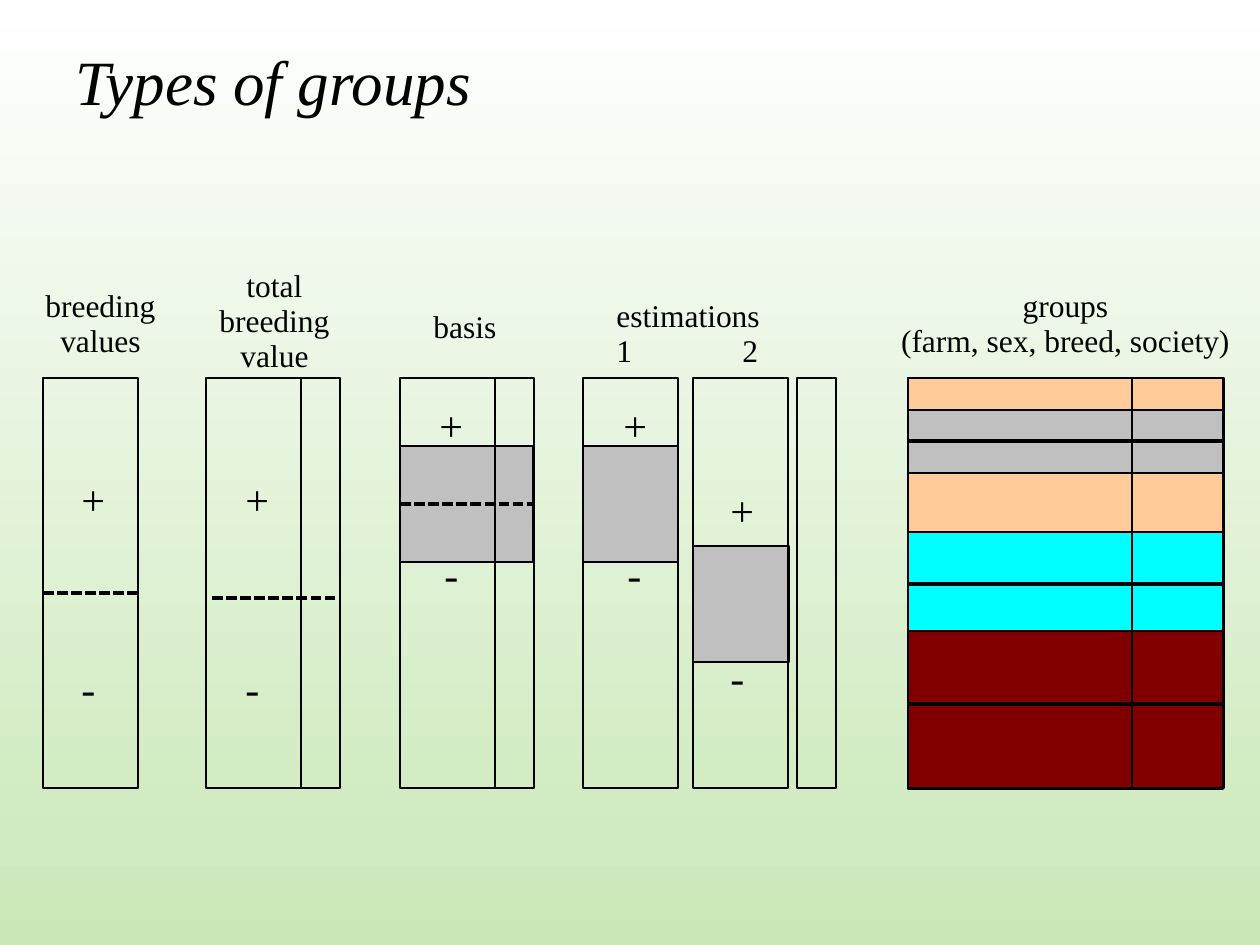
import lxml.etree
import pptx
import pptx.dml.color
import pptx.enum.dml
import pptx.enum.shapes
import pptx.enum.text
import pptx.oxml.ns
import pptx.util

PX = 914400 / 126
COLORS = {"black": "000000", "white": "FFFFFF", "green": "CAE8B8", "grey": "C0C0C0",
          "peach": "FFCC99", "cyan": "00FFFF", "maroon": "800000"}
RGB = {k: pptx.dml.color.RGBColor.from_string(v) for k, v in COLORS.items()}
LEFT = pptx.enum.text.PP_ALIGN.LEFT
CENTER = pptx.enum.text.PP_ALIGN.CENTER


def emu(*lengths):
    return [round(v * PX) for v in lengths]


def add_text(s, box, lines, size, align=LEFT, wrap=False, italic=False, tab=None):
    tf = s.shapes.add_textbox(*emu(*box)).text_frame
    tf.word_wrap = wrap
    tf.auto_size = pptx.enum.text.MSO_AUTO_SIZE.SHAPE_TO_FIT_TEXT
    for i, line in enumerate(lines):
        p = tf.add_paragraph() if i else tf.paragraphs[0]
        p.alignment = align
        p.line_spacing = 0.93
        if tab:
            tabs = lxml.etree.SubElement(p._p.get_or_add_pPr(), pptx.oxml.ns.qn("a:tabLst"))
            lxml.etree.SubElement(tabs, pptx.oxml.ns.qn("a:tab"), pos=str(emu(tab)[0]), algn="l")
        r = p.add_run()
        r.text = line
        r.font.name = "Times New Roman"
        r.font.size = pptx.util.Pt(size)
        r.font.italic = italic
        r.font.color.rgb = RGB["black"]


prs = pptx.Presentation()
prs.slide_width, prs.slide_height = emu(1260, 945)
s = prs.slides.add_slide(prs.slide_layouts[6])
bg = s.background.fill
bg.gradient()
bg.gradient_angle = 270
for stop, name, position in zip(bg.gradient_stops, ("white", "green"), (0, 1)):
    stop.color.rgb = RGB[name]
    stop.position = position

blocks = [
    (400, 446, 133, 116, "grey"), (583, 446, 95, 116, "grey"), (693, 546, 96, 116, "grey"),
    (908, 378, 315, 158, "peach"), (908, 532, 315, 158, "cyan"),
    (908, 631, 315, 158, "maroon"), (908, 410, 315, 63, "grey"),
]
columns = [(43, 95), (206, 95), (301, 39), (400, 95), (495, 39), (583, 95),
           (693, 95), (797, 39), (908, 224), (1132, 92)]
frames = [(x, 378, w, 410, None) for x, w in columns]
for x, y, w, h, name in blocks + frames:
    sp = s.shapes.add_shape(pptx.enum.shapes.MSO_SHAPE.RECTANGLE, *emu(x, y, w, h))
    sp.shadow.inherit = False
    if name:
        sp.fill.solid()
        sp.fill.fore_color.rgb = RGB[name]
    else:
        sp.fill.background()
    sp.line.color.rgb = RGB["black"]
    sp.line.width = 0

dividers = [(43, 137, 593, True), (212, 338, 598, True), (400, 533, 504, True),
            (908, 1223, 441, False), (908, 1223, 584, False), (908, 1223, 704, False)]
for x1, x2, y, dashed in dividers:
    line = s.shapes.add_connector(pptx.enum.shapes.MSO_CONNECTOR.STRAIGHT, *emu(x1, y, x2, y))
    line.line.color.rgb = RGB["black"]
    line.line.width = 0
    if dashed:
        line.line.dash_style = pptx.enum.dml.MSO_LINE.SQUARE_DOT
    lxml.etree.SubElement(line._element.spPr, pptx.oxml.ns.qn("a:effectLst"))

add_text(s, (63, 43, 427, 82), ["Types of groups"], 36, italic=True)
add_text(s, (33, 283, 135, 79), ["breeding", "values"], 18, CENTER)
add_text(s, (207, 263, 135, 112), ["total", "breeding", "value"], 18, CENTER)
add_text(s, (421, 304, 88, 48), ["basis"], 18, CENTER)
add_text(s, (604, 293, 180, 79), ["estimations", "1\t2"], 18, wrap=True, tab=126)
add_text(s, (888, 283, 355, 79), ["groups", "(farm, sex, breed, society)"], 18, CENTER)

signs = [(69, 472, "+"), (69, 661, "-"), (233, 472, "+"), (233, 661, "-"),
         (427, 398, "+"), (432, 547, "-"), (611, 398, "+"), (615, 547, "-"),
         (718, 483, "+"), (718, 650, "-")]
for x, y, sign in signs:
    add_text(s, (x, y, 49 if sign == "+" else 39, 59), [sign], 24, wrap=True)

prs.save("out.pptx")
